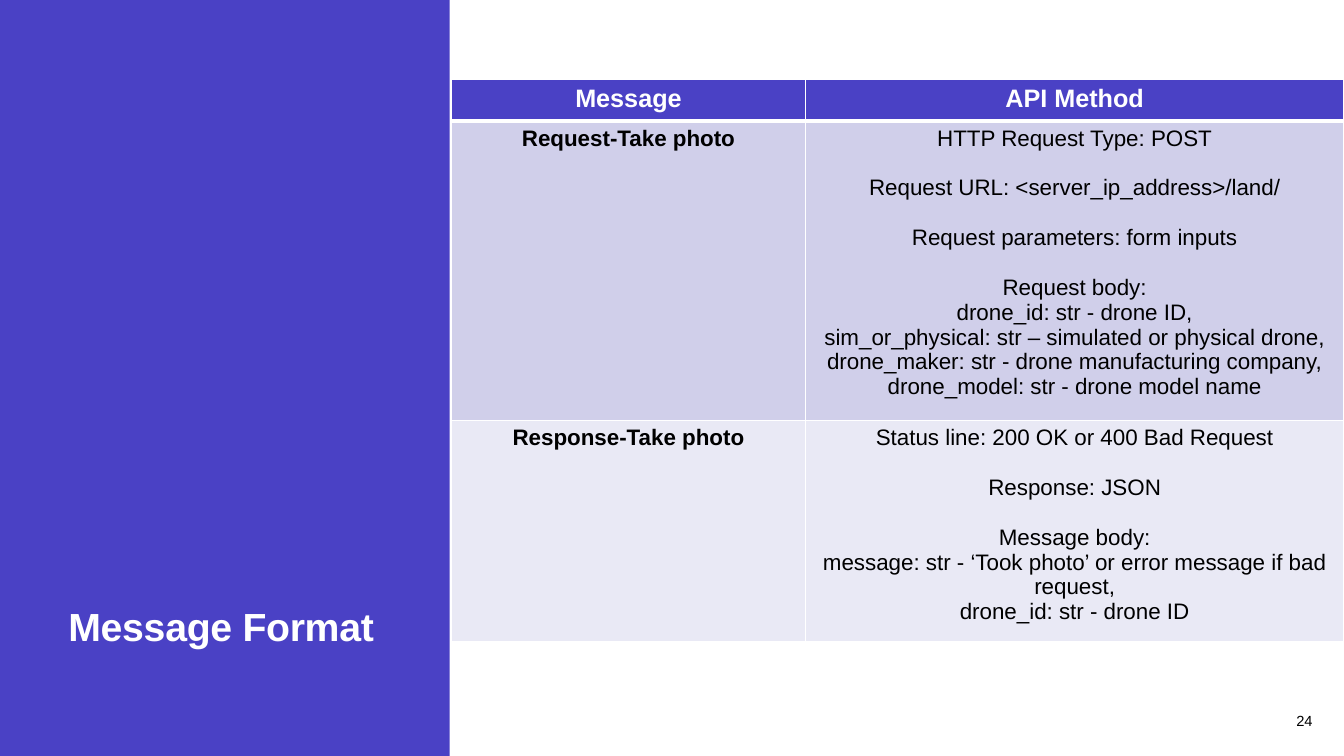
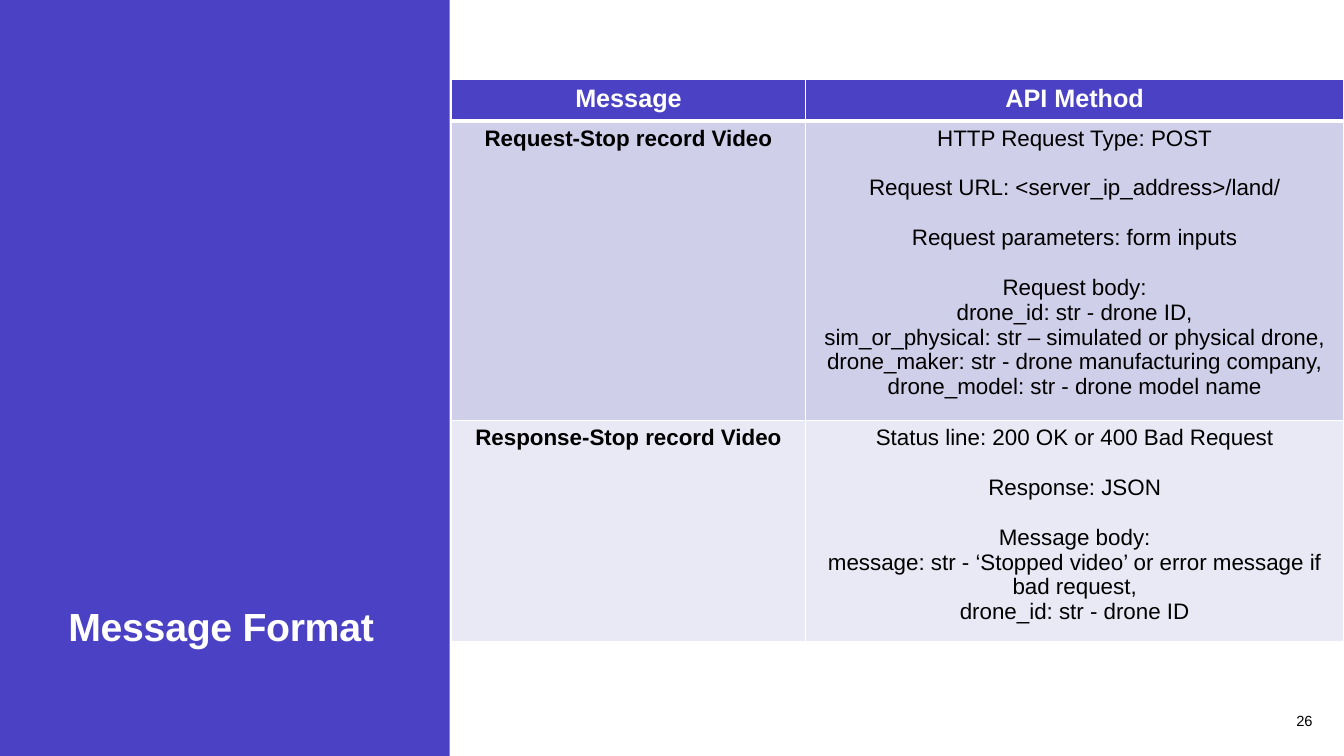
"""Build two slides that document the message format of the drone API."""
from lxml.etree import SubElement
from pptx import Presentation
from pptx.dml.color import RGBColor
from pptx.enum.shapes import MSO_SHAPE as Shape
from pptx.enum.text import MSO_ANCHOR as Anchor, PP_ALIGN as Align
from pptx.oxml.ns import qn
from pptx.util import Inches, Pt

INDIGO = RGBColor(0x4A, 0x41, 0xC5)
LAVENDER = RGBColor(0xD0, 0xCF, 0xEA)
MIST = RGBColor(0xE9, 0xE9, 0xF5)
WHITE = RGBColor(0xFF, 0xFF, 0xFF)
BLACK = RGBColor(0x00, 0x00, 0x00)
FONT = "Arial"
GROUP_GAP = Pt(17.75)

HEADINGS = ("Message", "API Method")
REQUEST = [
    ["HTTP Request Type: POST"],
    ["Request URL: <server_ip_address>/land/"],
    ["Request parameters: form inputs"],
    ["Request body:",
     "drone_id: str - drone ID,",
     "sim_or_physical: str – simulated or physical drone, "
     "drone_maker: str - drone manufacturing company, "
     "drone_model: str - drone model name"],
]
PAGES = [
    ("24", "Take photo", "Took photo"),
    ("26", "Stop record Video", "Stopped video"),
]


def write(frame, groups, size, color, bold, align):
    lines = [(line, index > 0 and line is group[0])
             for index, group in enumerate(groups) for line in group]
    for number, (line, opens_group) in enumerate(lines):
        paragraph = frame.add_paragraph() if number else frame.paragraphs[0]
        paragraph.alignment = align
        if opens_group:
            paragraph.space_before = GROUP_GAP
        run = paragraph.add_run()
        run.text = line
        run.font.name = FONT
        run.font.size = Pt(size)
        run.font.bold = bold
        run.font.color.rgb = color


def add_border(cell, side, points):
    line = SubElement(cell._tc.get_or_add_tcPr(), qn(f"a:ln{side}"), w=str(Pt(points)))
    fill = SubElement(line, qn("a:solidFill"))
    SubElement(fill, qn("a:srgbClr"), val=str(WHITE))


deck = Presentation()
deck.slide_width, deck.slide_height = Inches(13.33), Inches(7.5)
COL, ROW = deck.slide_width / 100, deck.slide_height / 100
BAND_WIDTH = 33.45
TABLE_LEFT, TABLE_TOP = 33.6, 10.53
TABLE_COLS = (26.33, 100 - TABLE_LEFT - 26.33)
TABLE_ROWS = (5.47, 37.47, 27.6)

for page, action, success in PAGES:
    slide = deck.slides.add_slide(deck.slide_layouts[6])

    band = slide.shapes.add_shape(Shape.RECTANGLE, 0, 0, int(BAND_WIDTH * COL), deck.slide_height)
    band.shadow.inherit = False
    band.fill.solid()
    band.fill.fore_color.rgb = INDIGO
    band.line.fill.background()

    title = slide.shapes.add_textbox(
        int(4.35 * COL), int(11.33 * ROW), int(26.33 * COL), int(75.33 * ROW)).text_frame
    title.word_wrap = True
    title.vertical_anchor = Anchor.BOTTOM
    write(title, [["Message Format"]], 28, WHITE, True, Align.LEFT)
    heading = title.paragraphs[0]
    heading.line_spacing = 0.9
    heading.runs[0]._r.get_or_add_rPr().set("spc", "-20")

    page_number = slide.shapes.add_textbox(
        int(93.22 * COL), int(92.67 * ROW), int(5.18 * COL), int(5.33 * ROW)).text_frame
    page_number.word_wrap = True
    page_number.vertical_anchor = Anchor.MIDDLE
    write(page_number, [[page]], 10.5, BLACK, False, Align.RIGHT)

    table = slide.shapes.add_table(
        len(TABLE_ROWS), len(TABLE_COLS), int(TABLE_LEFT * COL), int(TABLE_TOP * ROW),
        int(sum(TABLE_COLS) * COL), int(sum(TABLE_ROWS) * ROW)).table
    for column, share in zip(table.columns, TABLE_COLS):
        column.width = int(share * COL)
    for row, share in zip(table.rows, TABLE_ROWS):
        row.height = int(share * ROW)

    response = [
        ["Status line: 200 OK or 400 Bad Request"],
        ["Response: JSON"],
        ["Message body:",
         f"message: str - ‘{success}’ or error message if bad request,",
         "drone_id: str - drone ID"],
    ]
    contents = [
        ([[[text]] for text in HEADINGS], INDIGO, WHITE, 18),
        ([[[f"Request-{action}"]], REQUEST], LAVENDER, BLACK, 16),
        ([[[f"Response-{action}"]], response], MIST, BLACK, 16),
    ]
    for r, (row_groups, background, ink, size) in enumerate(contents):
        for c, groups in enumerate(row_groups):
            cell = table.cell(r, c)
            for side, points in (("L", 1), ("R", 1), ("T", 3 if r == 1 else 1), ("B", 3 if r == 0 else 1)):
                add_border(cell, side, points)
            cell.fill.solid()
            cell.fill.fore_color.rgb = background
            write(cell.text_frame, groups, size, ink, r == 0 or c == 0, Align.CENTER)

deck.save("out.pptx")
